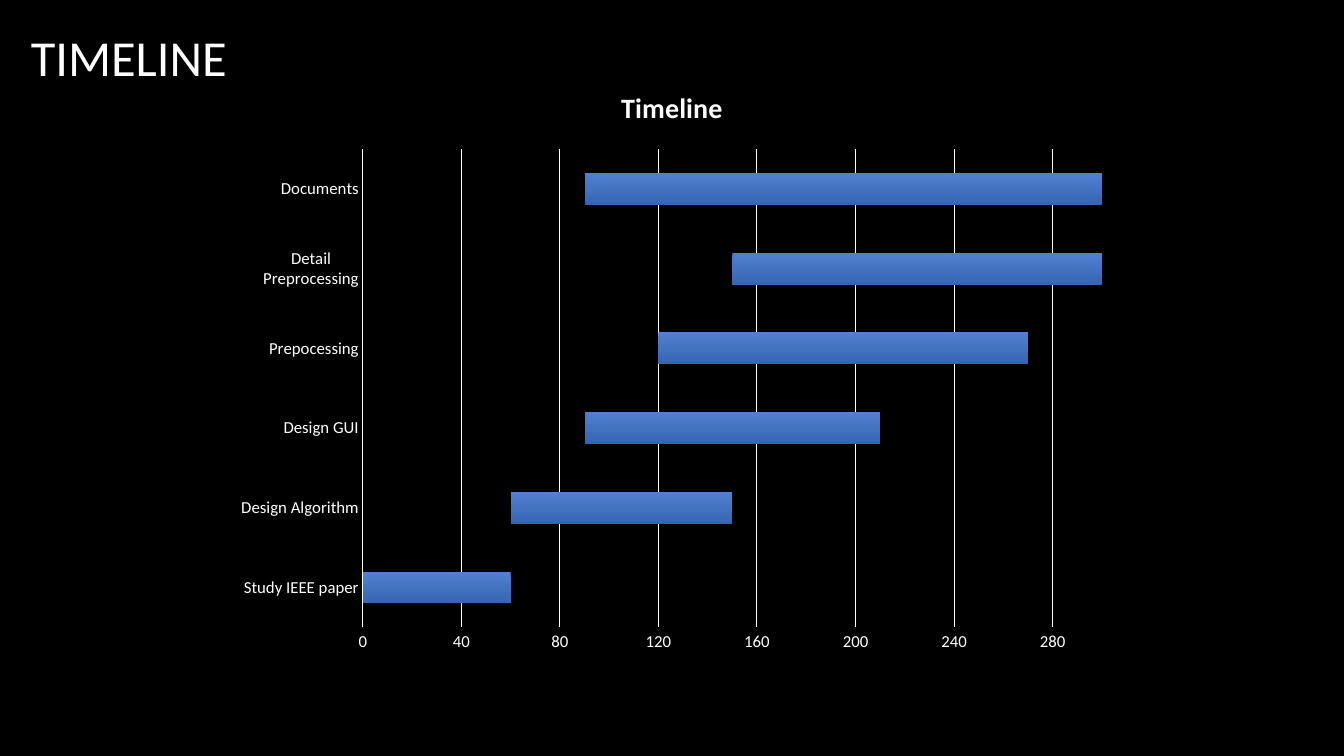
from pptx import Presentation
from pptx.chart.data import CategoryChartData
from pptx.dml.color import RGBColor
from pptx.enum.chart import XL_CHART_TYPE, XL_TICK_MARK
from pptx.enum.text import MSO_ANCHOR
from pptx.oxml import parse_xml
from pptx.oxml.ns import nsdecls
from pptx.util import Pt

theme = {
    "font": "Calibri",
    "background": RGBColor(0x00, 0x00, 0x00),
    "light": RGBColor(0xFF, 0xFF, 0xFF),
    "bar_top": RGBColor(0x51, 0x80, 0xD2),
    "bar_bottom": RGBColor(0x36, 0x65, 0xB3),
    "heading": Pt(36),
    "chart_title": Pt(20),
    "axis": Pt(12),
    "chart": Pt(10),
}

tasks = [
    ("Study IEEE paper", None, 60),
    ("Design Algorithm", 60, 90),
    ("Design GUI", 90, 120),
    ("Prepocessing", 120, 150),
    ("Detail Preprocessing", 150, 180),
    ("Documents", 90, 280),
]


def style_font(font, size, bold=False):
    values = {"name": theme["font"], "size": theme[size], "bold": bold}
    for attribute, value in values.items():
        setattr(font, attribute, value)
    font.color.rgb = theme["light"]


def apply_format(target, values):
    for attribute, value in values.items():
        setattr(target, attribute, value)


presentation = Presentation()
apply_format(presentation, {"slide_width": Pt(960), "slide_height": Pt(540)})
slide = presentation.slides.add_slide(presentation.slide_layouts[6])
slide.background.fill.solid()
slide.background.fill.fore_color.rgb = theme["background"]

schedule = CategoryChartData()
names, starts, durations = zip(*tasks)
schedule.categories = names
schedule.add_series("Series 1", starts)
schedule.add_series("Series 2", durations)
timeline = slide.shapes.add_chart(
    XL_CHART_TYPE.BAR_STACKED, Pt(160), Pt(46.8), Pt(640), Pt(427), schedule
).chart
timeline.has_legend = False
style_font(timeline.font, "chart")

timeline.has_title = True
chart_title = timeline.chart_title.text_frame
chart_title.text = "Timeline"
style_font(chart_title.paragraphs[0].runs[0].font, "chart_title", True)
timeline.chart_title.include_in_layout = False

plot = timeline.plots[0]
apply_format(plot, {"gap_width": 150, "overlap": 100, "vary_by_categories": False})
start_series, duration_series = plot.series
start_series.format.fill.background()
start_series.format.line.fill.background()
duration_series.format.line.fill.background()
bar_fill = duration_series.format.fill
bar_fill.gradient()
bar_fill.gradient_angle = 270
for stop, position, shade in zip(bar_fill.gradient_stops, (0, 1), ("bar_top", "bar_bottom")):
    stop.position = position
    stop.color.rgb = theme[shade]

task_axis = timeline.category_axis
day_axis = timeline.value_axis
for axis in (task_axis, day_axis):
    apply_format(axis, {"major_tick_mark": XL_TICK_MARK.NONE, "minor_tick_mark": XL_TICK_MARK.NONE})
    style_font(axis.tick_labels.font, "axis")
apply_format(day_axis, {
    "minimum_scale": 0,
    "maximum_scale": 300,
    "major_unit": 40,
    "has_major_gridlines": True,
})
day_axis.format.line.fill.background()
for line, width in ((task_axis.format.line, 1), (day_axis.major_gridlines.format.line, 0.75)):
    line.color.rgb = theme["light"]
    line.width = Pt(width)

plot_area = timeline._chartSpace.chart.plotArea
for old_layout in plot_area.findall("{*}layout"):
    plot_area.remove(old_layout)
bounds = {"x": 0.155, "y": 0.14, "w": 0.825, "h": 0.8}
modes = "".join(f'<c:{side}Mode val="edge"/>' for side in "xy")
extent = "".join(f'<c:{side} val="{share}"/>' for side, share in bounds.items())
plot_area.insert(0, parse_xml(
    f'<c:layout {nsdecls("c")}><c:manualLayout><c:layoutTarget val="inner"/>'
    f"{modes}{extent}</c:manualLayout></c:layout>"
))

heading = slide.shapes.add_textbox(Pt(15), Pt(10), Pt(794), Pt(60)).text_frame
apply_format(heading, {"word_wrap": True, "vertical_anchor": MSO_ANCHOR.MIDDLE})
heading.text = "TIMELINE"
style_font(heading.paragraphs[0].runs[0].font, "heading")

presentation.save("out.pptx")
